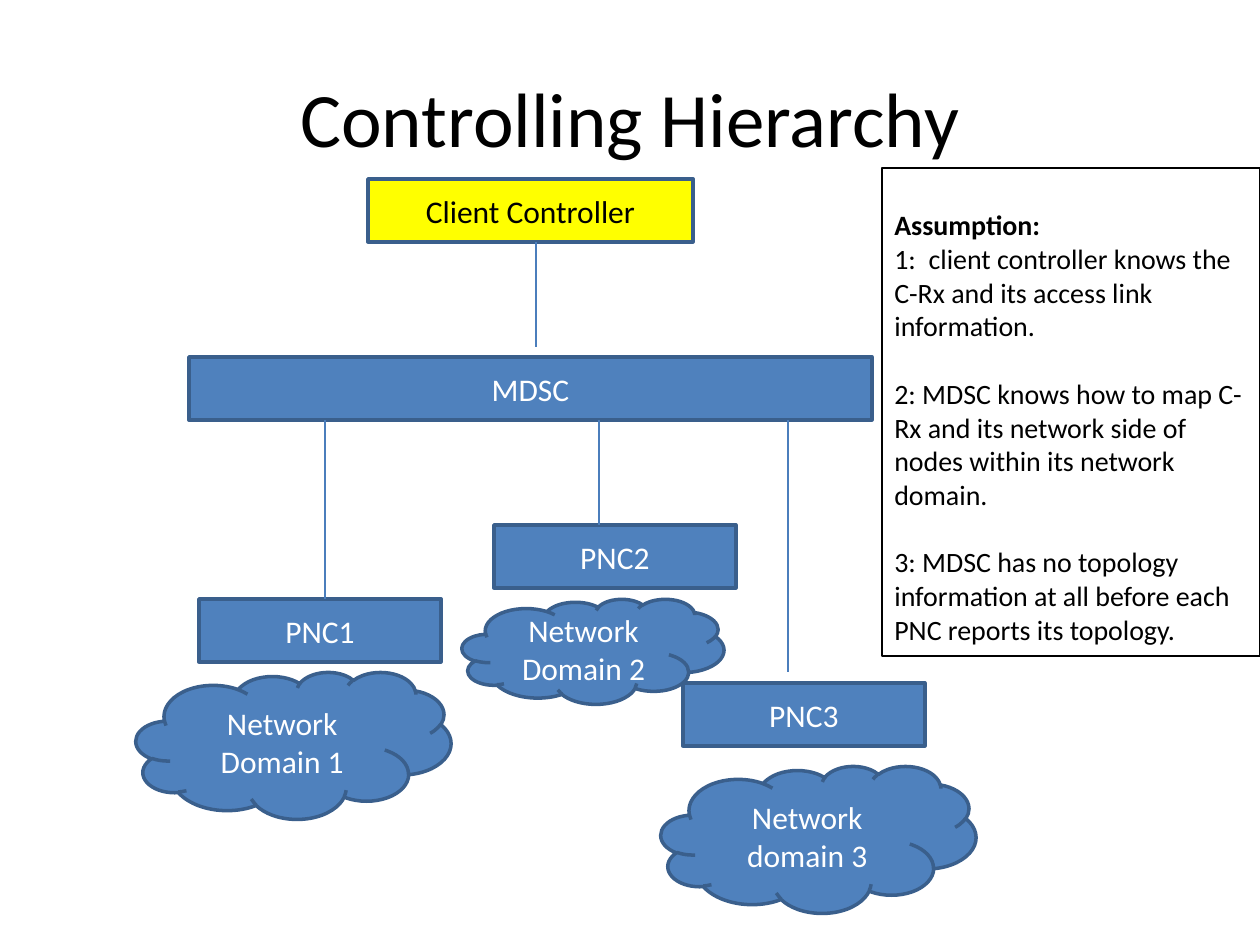
"""Build the Controlling Hierarchy slide."""
import pptx
import pptx.util
import pptx.dml.color
import pptx.enum.shapes
import pptx.enum.text
import pptx.oxml

RGBColor = pptx.dml.color.RGBColor
Pt = pptx.util.Pt
MSO_SHAPE = pptx.enum.shapes.MSO_SHAPE
PP_ALIGN = pptx.enum.text.PP_ALIGN
MSO_ANCHOR = pptx.enum.text.MSO_ANCHOR

BLUE = RGBColor(0x4F, 0x81, 0xBD)
BORDER = RGBColor(0x3A, 0x5F, 0x8C)
LINK = RGBColor(0x4B, 0x7E, 0xBC)
YELLOW = RGBColor(0xFF, 0xFF, 0x00)
BLACK = RGBColor(0, 0, 0)
WHITE = RGBColor(0xFF, 0xFF, 0xFF)
PX = 914400 // 126


def put_text(p, text, size=18, color=BLACK, bold=False, align=PP_ALIGN.CENTER, before=0):
    p.alignment = align
    p.space_before = Pt(before)
    r = p.add_run()
    r.text = text
    r.font.name = "Calibri"
    r.font.size = Pt(size)
    r.font.bold = bold
    r.font.color.rgb = color


prs = pptx.Presentation()
prs.slide_width, prs.slide_height = 1260 * PX, 945 * PX
s = prs.slides.add_slide(prs.slide_layouts[5])

title = s.shapes.title
title.left, title.top, title.width, title.height = [v * PX for v in (63, 38, 1134, 157)]
title.text_frame.vertical_anchor = MSO_ANCHOR.MIDDLE
put_text(title.text_frame.paragraphs[0], "Controlling Hierarchy", size=44)

RECT, CLOUD = MSO_SHAPE.RECTANGLE, MSO_SHAPE.CLOUD
nodes = [
    ("MDSC", RECT, 189, 357, 683, 63, BLUE, WHITE),
    ("PNC1", RECT, 199, 599, 242, 63, BLUE, WHITE),
    ("PNC2", RECT, 494, 525, 242, 63, BLUE, WHITE),
    ("PNC3", RECT, 683, 683, 242, 63, BLUE, WHITE),
    ("Network Domain 1", CLOUD, 136, 672, 315, 147, BLUE, WHITE),
    ("Network domain 3", CLOUD, 661, 766, 315, 147, BLUE, WHITE),
    ("Network Domain 2", CLOUD, 462, 599, 262, 105, BLUE, WHITE),
    ("Client Controller", RECT, 368, 179, 325, 63, YELLOW, BLACK),
]
for text, kind, x, y, w, h, fill, color in nodes:
    sp = s.shapes.add_shape(kind, x * PX, y * PX, w * PX, h * PX)
    sp.shadow.inherit = False
    sp.fill.solid()
    sp.fill.fore_color.rgb = fill
    sp.line.color.rgb = BORDER
    sp.line.width = Pt(2)
    tf = sp.text_frame
    tf.word_wrap = True
    tf.vertical_anchor = MSO_ANCHOR.MIDDLE
    put_text(tf.paragraphs[0], text, color=color)

for x, top, bottom in [(325, 420, 599), (599, 420, 525), (788, 420, 672), (536, 242, 347)]:
    link = s.shapes.add_connector(
        pptx.enum.shapes.MSO_CONNECTOR.STRAIGHT, x * PX, top * PX, x * PX, bottom * PX)
    link.line.color.rgb = LINK
    link.line.width = Pt(0.75)
    pptx.oxml.ns  # noqa
    link._element.spPr.append(pptx.oxml.parse_xml(
        '<a:effectLst xmlns:a="http://schemas.openxmlformats.org/drawingml/2006/main"/>'))

note = s.shapes.add_textbox(882 * PX, 168 * PX, 378 * PX, 488 * PX)
note.line.color.rgb = BLACK
note.line.width = Pt(0.75)
tf = note.text_frame
tf.word_wrap = True
tf.margin_top = 40 * PX
assumptions = [
    ("Assumption:", True, 0),
    ("1:  client controller knows the C-Rx and its access link information.", False, 0),
    ("2: MDSC knows how to map C-Rx and its network side of nodes within its network domain.",
     False, 19.5),
    ("3: MDSC has no topology information at all before each PNC reports its topology.",
     False, 19.5),
]
for i, (text, bold, before) in enumerate(assumptions):
    p = tf.add_paragraph() if i else tf.paragraphs[0]
    put_text(p, text, size=16, bold=bold, align=PP_ALIGN.LEFT, before=before)

prs.save("out.pptx")
